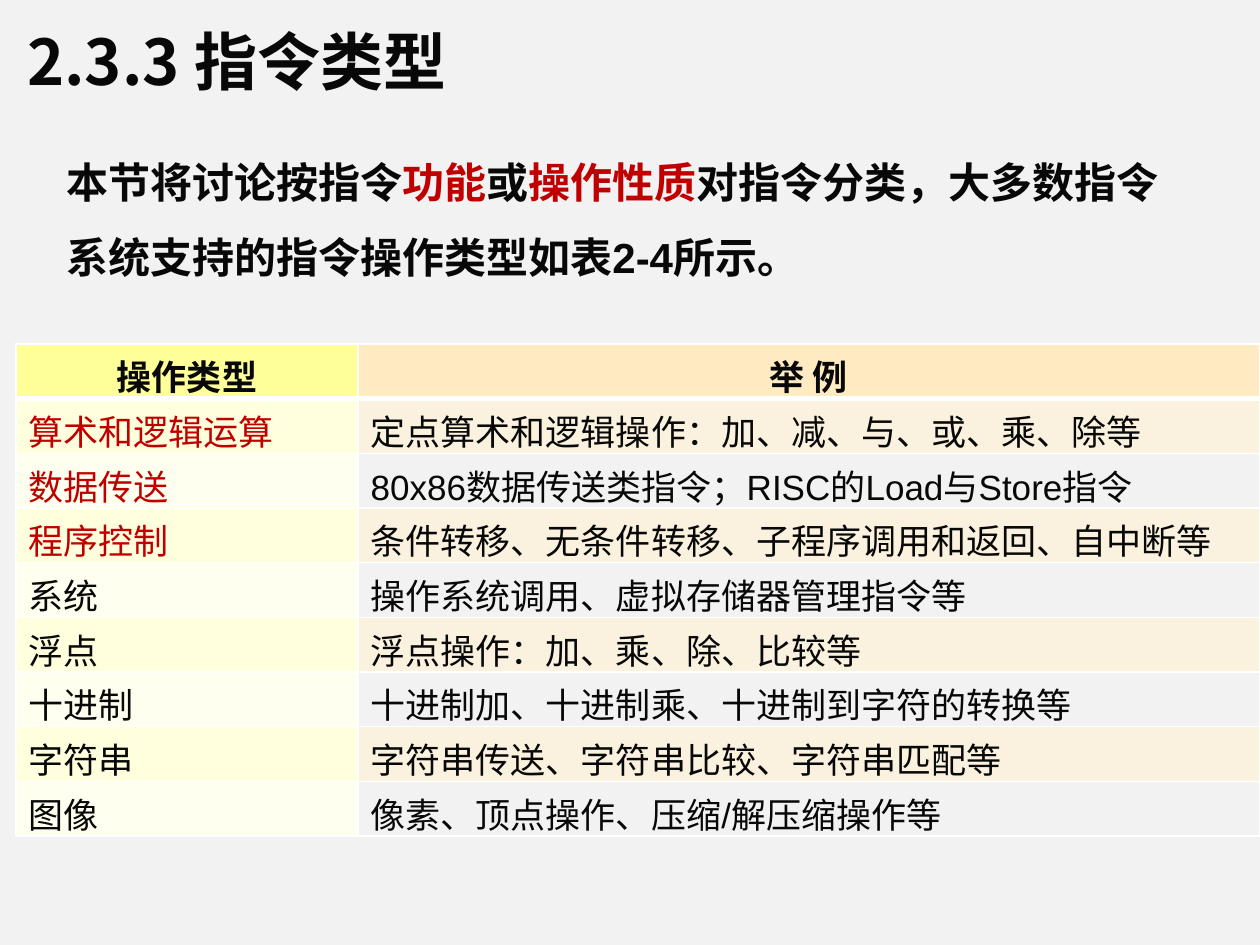
from dataclasses import dataclass

from lxml import etree
from pptx import Presentation
from pptx.dml.color import RGBColor
from pptx.enum.text import MSO_AUTO_SIZE as AutoSize, PP_ALIGN as Align
from pptx.oxml.ns import qn
from pptx.util import Emu, Pt

PX = 914400 // 126


@dataclass(frozen=True)
class Theme:
    background: str = "F2F2F2"
    ink: str = "080808"
    accent: str = "C00000"
    border: str = "FFFFFF"
    header_fills: tuple = ("FFFF99", "FFEBC2")
    band_fills: tuple = (("FFFFDE", "FAF1DE"), ("FFFFEF", "F2F2F2"))
    latin: str = "Arial"
    chinese: str = "Noto Sans CJK SC"
    title_size: int = 36
    body_size: int = 24
    table_size: int = 20


THEME = Theme()
HEADER = ("操作类型", "举 例")
ROWS = (
    ("算术和逻辑运算", "定点算术和逻辑操作：加、减、与、或、乘、除等"),
    ("数据传送", "80x86数据传送类指令；RISC的Load与Store指令"),
    ("程序控制", "条件转移、无条件转移、子程序调用和返回、自中断等"),
    ("系统", "操作系统调用、虚拟存储器管理指令等"),
    ("浮点", "浮点操作：加、乘、除、比较等"),
    ("十进制", "十进制加、十进制乘、十进制到字符的转换等"),
    ("字符串", "字符串传送、字符串比较、字符串匹配等"),
    ("图像", "像素、顶点操作、压缩/解压缩操作等"),
)
HIGHLIGHTED_ROWS = 3


def px(length):
    return Emu(length * PX)


def add_run(paragraph, text, *, size, color=THEME.ink, bold=False, latin=THEME.latin):
    run = paragraph.add_run()
    run.text = text
    font = run.font
    font.size = Pt(size)
    font.bold = bold
    font.color.rgb = RGBColor.from_string(color)
    font.name = latin
    east_asian = etree.SubElement(font._element, qn("a:ea"))
    east_asian.set("typeface", THEME.chinese)


def add_text_box(slide, left, top, width, height, runs, *, line_spacing=None, **text_format):
    shape = slide.shapes.add_textbox(px(left), px(top), px(width), px(height))
    frame = shape.text_frame
    frame.word_wrap = True
    frame.auto_size = AutoSize.SHAPE_TO_FIT_TEXT
    paragraph = frame.paragraphs[0]
    paragraph.line_spacing = line_spacing
    for text, color in runs:
        add_run(paragraph, text, color=color, **text_format)


def set_borders(cell, bottom=1, top=1):
    properties = cell._tc.get_or_add_tcPr()
    widths = {"a:lnL": 1, "a:lnR": 1, "a:lnT": top, "a:lnB": bottom}
    for index, (tag, width) in enumerate(widths.items()):
        line = etree.Element(qn(tag), w=str(Pt(width)))
        fill = etree.SubElement(line, qn("a:solidFill"))
        etree.SubElement(fill, qn("a:srgbClr"), val=THEME.border)
        properties.insert(index, line)


def fill_cell(cell, text, fill, *, align=Align.LEFT, top=1, bottom=1, **text_format):
    cell.fill.solid()
    cell.fill.fore_color.rgb = RGBColor.from_string(fill)
    set_borders(cell, bottom, top)
    paragraph = cell.text_frame.paragraphs[0]
    paragraph.alignment = align
    add_run(paragraph, text, size=THEME.table_size, **text_format)


def add_type_table(slide, left, top, column_widths, row_height):
    row_count = len(ROWS) + 1
    shape = slide.shapes.add_table(
        row_count, len(HEADER), px(left), px(top),
        px(sum(column_widths)), px(row_height * row_count))
    table = shape.table
    for column, width in zip(table.columns, column_widths):
        column.width = px(width)
    for index, (text, fill) in enumerate(zip(HEADER, THEME.header_fills)):
        fill_cell(table.cell(0, index), text, fill,
                  align=Align.CENTER, bottom=3, bold=True)
    for row, texts in enumerate(ROWS, 1):
        fills = THEME.band_fills[(row - 1) % 2]
        label_color = THEME.accent if row <= HIGHLIGHTED_ROWS else THEME.ink
        for column, color in enumerate((label_color, THEME.ink)):
            fill_cell(table.cell(row, column), texts[column], fills[column],
                      color=color, top=3 if row == 1 else 1)


def main():
    presentation = Presentation()
    presentation.slide_width = px(1260)
    presentation.slide_height = px(945)
    slide = presentation.slides.add_slide(presentation.slide_layouts[6])
    background = slide.background.fill
    background.solid()
    background.fore_color.rgb = RGBColor.from_string(THEME.background)

    add_text_box(slide, 15, 16, 630, 89, [("2.3.3 指令类型", THEME.ink)],
                 size=THEME.title_size, bold=True, latin=THEME.chinese)
    introduction = [
        ("本节将讨论按指令", THEME.ink),
        ("功能", THEME.accent),
        ("或", THEME.ink),
        ("操作性质", THEME.accent),
        ("对指令分类，大多数指令系统支持的指令操作类型如表2-4所示。", THEME.ink),
    ]
    add_text_box(slide, 54, 125, 1142, 165, introduction,
                 size=THEME.body_size, bold=True, line_spacing=1.5)
    add_type_table(slide, 16, 344, (342, 902), 53)
    presentation.save("out.pptx")


if __name__ == "__main__":
    main()
